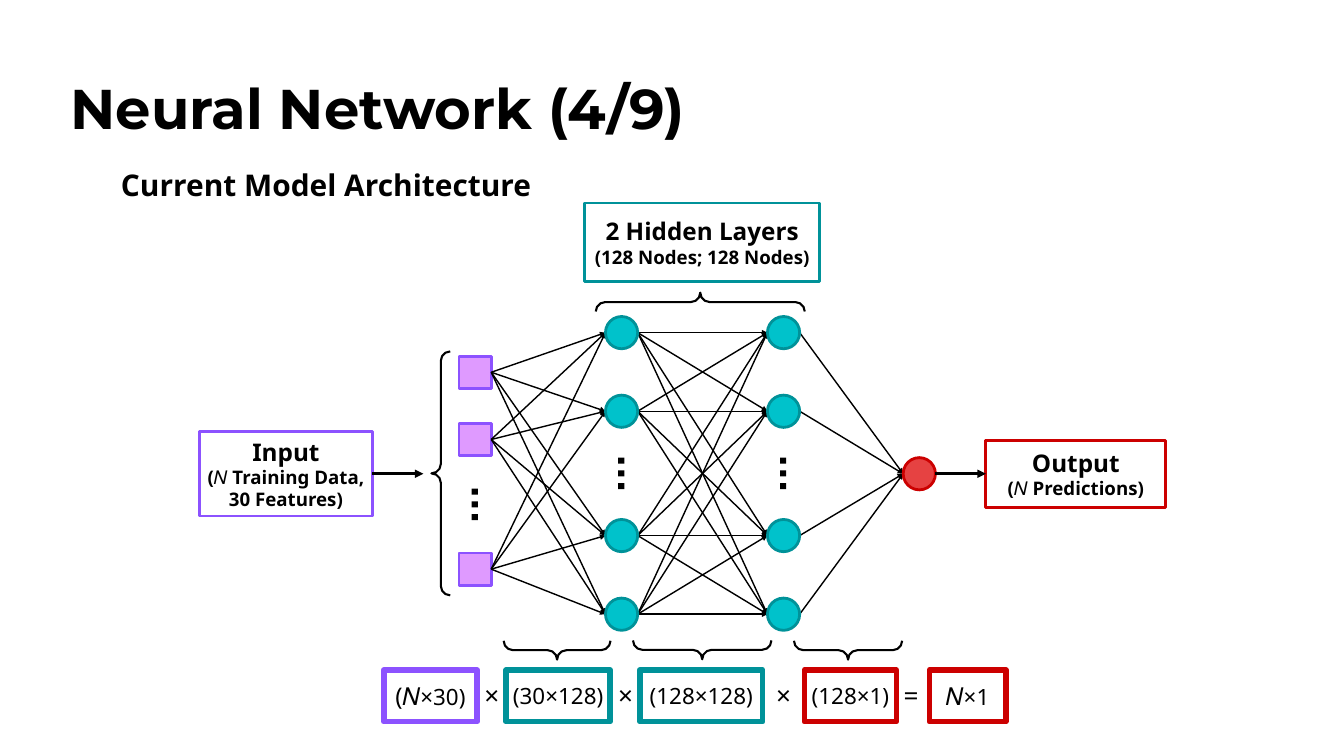
from lxml import etree
from pptx import Presentation
from pptx.dml.color import RGBColor
from pptx.enum.shapes import MSO_CONNECTOR, MSO_SHAPE as SHAPE
from pptx.enum.text import MSO_ANCHOR, MSO_AUTO_SIZE, PP_ALIGN
from pptx.oxml.ns import qn
from pptx.util import Inches, Pt

COLORS = {
    "black": "000000",
    "teal": "009299", "cyan": "00C2CB",
    "purple": "8C52FF", "lilac": "DF9AFF",
    "red": "CC0000", "coral": "E64242",
}
NODE = 0.48
MID_Y = 7.05


def add_shape(kind, box, fill=None, line=None, width=3, paragraphs=()):
    """Add a shape; each paragraph is a list of (text, size, bold) runs."""
    sp = s.shapes.add_shape(kind, *map(Inches, box))
    sp.shadow.inherit = False
    if fill:
        sp.fill.solid()
        sp.fill.fore_color.rgb = RGBColor.from_string(COLORS[fill])
    else:
        sp.fill.background()
    if line:
        sp.line.color.rgb = RGBColor.from_string(COLORS[line])
        sp.line.width = Pt(width)
    else:
        sp.line.fill.background()
    tf = sp.text_frame
    tf.vertical_anchor = MSO_ANCHOR.MIDDLE
    tf.margin_left = tf.margin_right = tf.margin_top = tf.margin_bottom = Inches(0.1)
    for i, runs in enumerate(paragraphs):
        p = tf.add_paragraph() if i else tf.paragraphs[0]
        p.alignment = PP_ALIGN.CENTER
        for text, size, bold in runs:
            r = p.add_run()
            r.text = text
            r.font.name, r.font.size, r.font.bold = "Noto Sans", Pt(size), bold
            r.font.color.rgb = RGBColor.from_string(COLORS["black"])
    return sp


def add_arrow(start, end, width=1.5):
    line = s.shapes.add_connector(MSO_CONNECTOR.STRAIGHT, *map(Inches, start + end))
    line.line.color.rgb = RGBColor.from_string(COLORS["black"])
    line.line.width = Pt(width)
    etree.SubElement(line.line._get_or_add_ln(), qn("a:tailEnd"), type="triangle")
    etree.SubElement(line._element.spPr, qn("a:effectLst"))
    return line


prs = Presentation()
prs.slide_width, prs.slide_height = Inches(20), Inches(11.25)
s = prs.slides.add_slide(prs.slide_layouts[5])

# Title and subtitle
title = s.shapes.title
title.left, title.top, title.width, title.height = map(Inches, (1.05, 0.9, 18.14, 1.01))
subtitle = s.shapes.add_textbox(*map(Inches, (1.8, 2.3, 14.44, 0.54)))
for sp, text, font, size, spacing in [
    (title, "Neural Network (4/9)", "Montserrat", 60, 1.2),
    (subtitle, "Current Model Architecture", "Noto Sans", 32, 1.35),
]:
    tf = sp.text_frame
    tf.text = text
    tf.word_wrap = True
    tf.auto_size = MSO_AUTO_SIZE.NONE
    tf.vertical_anchor = MSO_ANCHOR.TOP
    tf.margin_left = tf.margin_right = tf.margin_top = tf.margin_bottom = 0
    p = tf.paragraphs[0]
    p.alignment = PP_ALIGN.LEFT
    p.line_spacing = spacing
    r = p.runs[0]
    r.font.name, r.font.size, r.font.bold = font, Pt(size), True
    r.font.color.rgb = RGBColor.from_string(COLORS["black"])

# Network: input squares, links, then the round nodes over the link ends
input_x, hidden_x, output_x = 6.83, (9.01, 11.42), 13.44
input_ys = (5.54, 6.54, 8.47)
hidden_ys = (4.95, 6.12, 7.97, 9.14)

for y in input_ys:
    square = add_shape(SHAPE.RECTANGLE, (input_x, y - NODE / 2, NODE, NODE), "lilac", "purple")
    for target_y in hidden_ys:
        link = add_arrow((input_x + NODE, y), (hidden_x[0], target_y))
        link.begin_connect(square, 3)

for y in hidden_ys:
    for target_y in hidden_ys:
        add_arrow((hidden_x[0] + NODE, y), (hidden_x[1], target_y))
    add_arrow((hidden_x[1] + NODE, y), (output_x, MID_Y))

for x in hidden_x:
    for y in hidden_ys:
        add_shape(SHAPE.OVAL, (x, y - NODE / 2, NODE, NODE), "cyan", "teal")
add_shape(SHAPE.OVAL, (output_x, MID_Y - NODE / 2, NODE, NODE), "coral", "red")

# Vertical ellipses made of three dots
for x, top in [(7.02, 7.27), (9.2, 6.81), (11.61, 6.81)]:
    for i in range(3):
        add_shape(SHAPE.RECTANGLE, (x, top + 0.19 * i, 0.09, 0.09), "black")

# Labels of the layers
add_shape(SHAPE.RECTANGLE, (8.7, 3.02, 3.5, 1.17), None, "teal", 3, [
    [("2 Hidden Layers", 26, True)],
    [("(128 Nodes; 128 Nodes)", 20, True)],
])
input_box = add_shape(SHAPE.RECTANGLE, (2.97, 6.42, 2.57, 1.26), None, "purple", 3, [
    [("Input", 26, True)],
    [("(", 20, True), ("𝑁 ", 20, False), ("Training Data,", 20, True)],
    [("30 Features)", 20, True)],
])
output_box = add_shape(SHAPE.RECTANGLE, (14.67, 6.55, 2.68, 1), None, "red", 3, [
    [("Output", 26, True)],
    [("(", 20, True), ("𝑁 ", 20, False), ("Predictions)", 20, True)],
])
add_arrow((5.54, MID_Y), (6.3, MID_Y), 3).begin_connect(input_box, 3)
add_arrow((output_x + NODE, MID_Y), (14.67, MID_Y), 3).end_connect(output_box, 1)

# Braces
for x, y, length, rotation in [
    (6.42, 5.23, 3.63, 0),
    (10.28, 2.94, 3.11, 90),
    (8.15, 8.88, 1.59, 270),
    (10.31, 8.64, 2.06, 270),
    (12.48, 8.87, 1.61, 270),
]:
    brace = add_shape(SHAPE.LEFT_BRACE, (x, y, 0.28, length), None, "black", 2.25)
    brace.adjustments[0] = brace.adjustments[1] = 0.5
    brace.rotation = rotation

# Matrix sizes, with the operators on tab stops between the boxes
for x, width, color, runs in [
    (5.71, 1.39, "purple", [("(𝑁", 26, False), ("×30)", 24, False)]),
    (7.53, 1.55, "teal", [("(30×128)", 24, False)]),
    (9.52, 1.83, "teal", [("(128×128)", 24, False)]),
    (11.97, 1.37, "red", [("(128×1)", 24, False)]),
    (13.83, 1.14, "red", [("𝑁", 26, False), ("×1", 24, False)]),
]:
    matrix = add_shape(SHAPE.RECTANGLE, (x, 9.97, width, 0.77), None, color, 6, [runs])
    matrix.text_frame.word_wrap = False

operators = s.shapes.add_textbox(*map(Inches, (7.11, 10.03, 6.81, 0.64)))
tf = operators.text_frame
tf.text = "×\t×\t×\t="
tf.word_wrap = True
tf.vertical_anchor = MSO_ANCHOR.MIDDLE
p = tf.paragraphs[0]
tabs = etree.SubElement(p._p.get_or_add_pPr(), qn("a:tabLst"))
for stop in (1.99, 4.34, 6.24):
    etree.SubElement(tabs, qn("a:tab"), pos=str(Inches(stop)), algn="l")
for r in p.runs:
    r.font.name, r.font.size = "Noto Sans", Pt(28)
    r.font.color.rgb = RGBColor.from_string(COLORS["black"])

prs.save("out.pptx")
